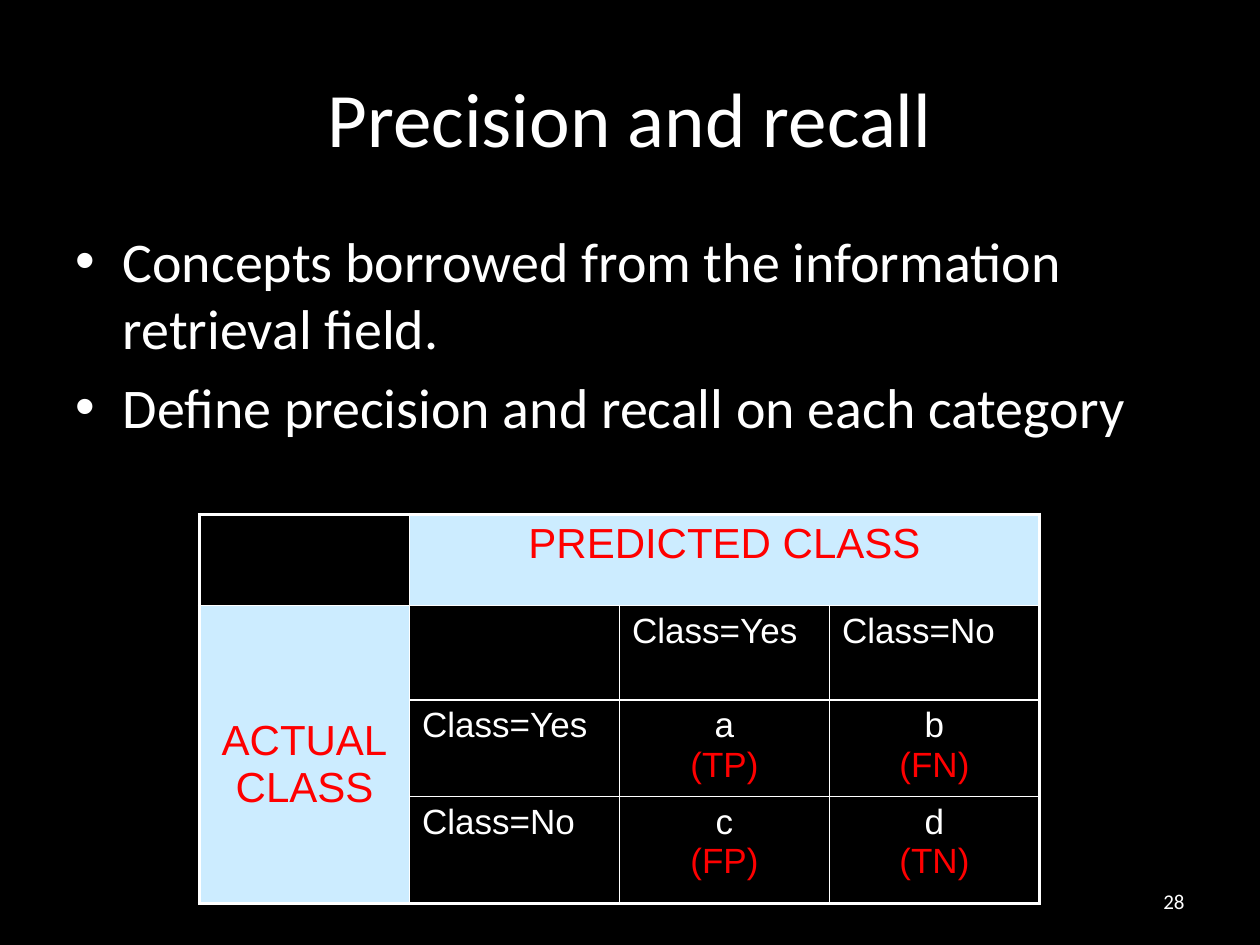
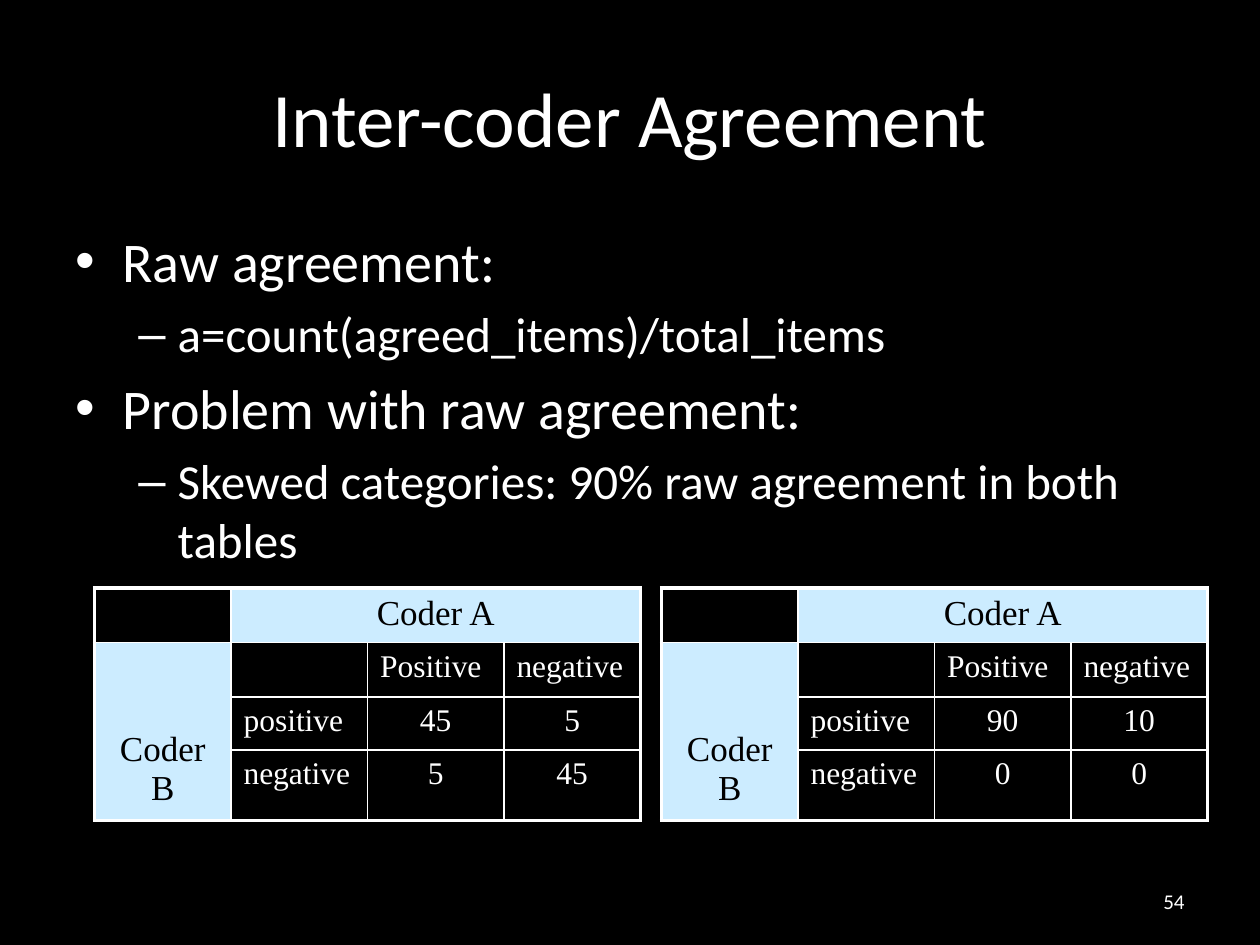
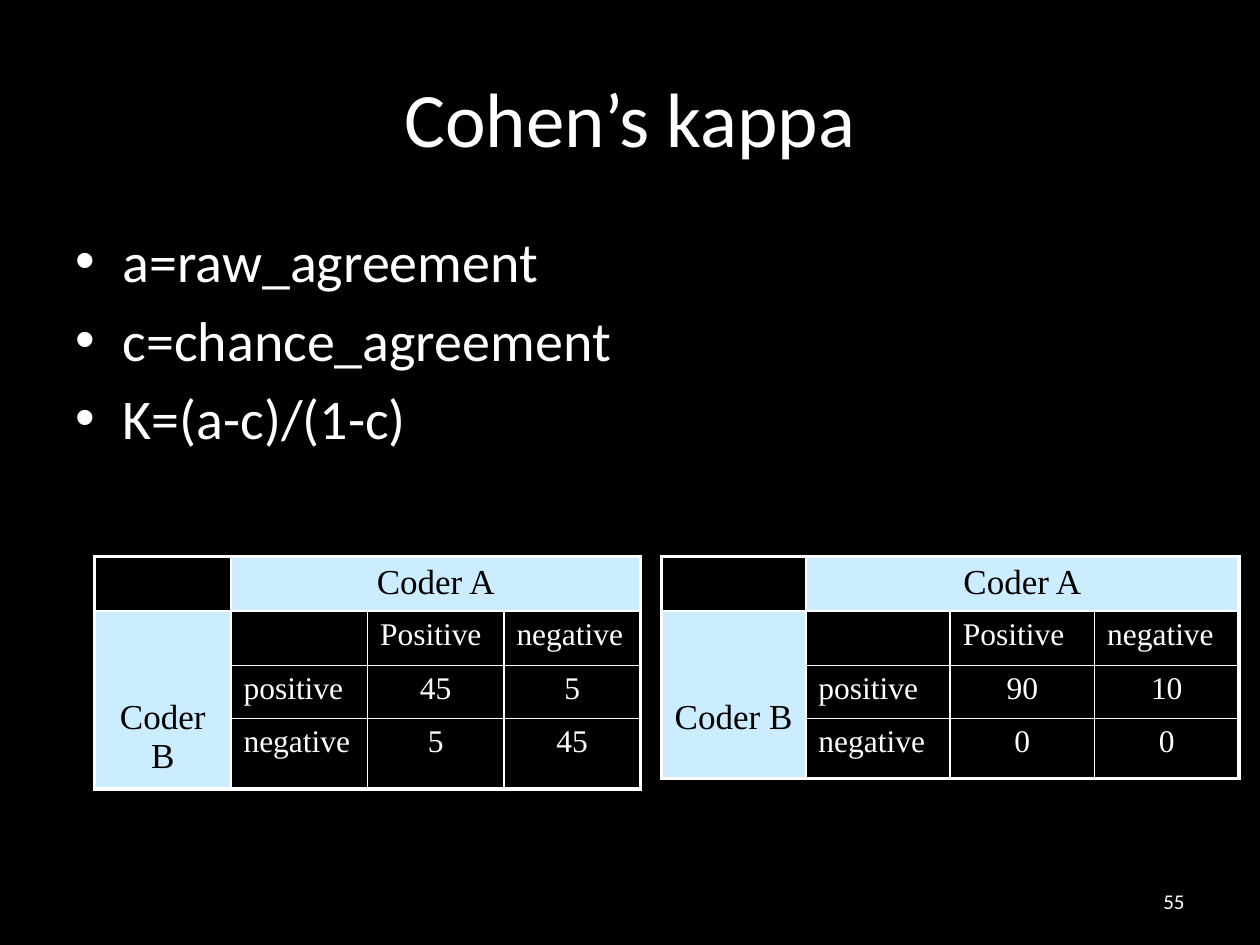
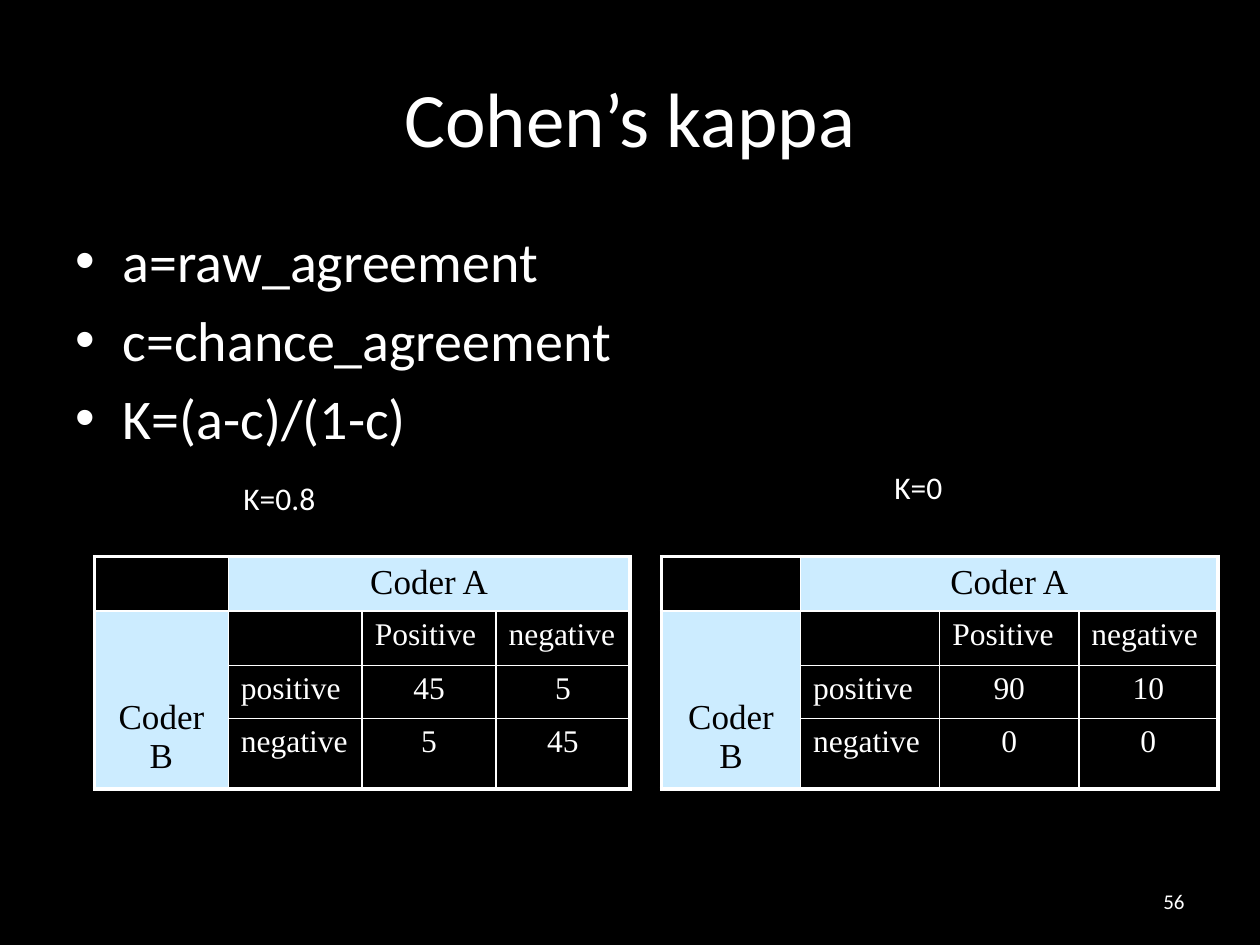
"""Builds four lecture slides on precision, recall and inter-coder agreement."""
from lxml import etree
from pptx import Presentation
from pptx import util as u
from pptx.dml import color
from pptx.enum import text
from pptx.oxml import ns

COLORS = {"back": "000000", "ink": "FFFFFF", "header": "CCECFF", "accent": "FF0000"}
ALIGN = text.PP_ALIGN
BULLETS = [
    {"mark": "•", "left": 27, "hang": -27, "size": 32, "before": 6.4},
    {"mark": "–", "left": 58.5, "hang": -22.5, "size": 28, "before": 5.6},
]
CONFUSION = {"font": "Arial", "header_size": 24, "size": 20, "header_color": "accent",
             "side_top": 64, "rows": [52, 54, 53, 61]}
CODERS = {"font": "Times New Roman", "header_size": 20, "size": 18, "header_color": "back",
          "side_top": 50, "rows": [29.5, 31, 30.25, 34.5]}
OUTER, INNER = 2.25, 1
KAPPA = [(0, "a=raw_agreement"), (0, "c=chance_agreement"), (0, "K=(a-c)/(1-c)")]
SKEWED = [["90", "10"], ["0", "0"]]
BALANCED = [["45", "5"], ["5", "45"]]


def rgb(name):
    return color.RGBColor.from_string(COLORS[name])


class Deck:
    def __init__(self):
        self.prs = Presentation()
        self.prs.slide_width, self.prs.slide_height = u.Pt(720), u.Pt(540)
        self.slide = None

    def start(self, title, points, number, body_height):
        self.slide = self.prs.slides.add_slide(self.prs.slide_layouts[6])
        fill = self.slide.background.fill
        fill.solid()
        fill.fore_color.rgb = rgb("back")
        middle = {"vertical_anchor": text.MSO_ANCHOR.MIDDLE}
        self.label(title, (36, 21.6, 648, 90), 44, ALIGN.CENTER, middle)
        self.bullets(points, body_height)
        self.label(number, (516, 500.5, 168, 28.75), 12, ALIGN.RIGHT, middle)

    def box(self, place, frame_format=None):
        frame = self.slide.shapes.add_textbox(*map(u.Pt, place)).text_frame
        for key, value in {"word_wrap": True, **(frame_format or {})}.items():
            setattr(frame, key, value)
        return frame

    def wording(self, paragraph, words, size, font="Calibri", ink="ink", align=ALIGN.LEFT):
        paragraph.alignment = align
        for index, (line, name) in enumerate(words):
            if index:
                paragraph.add_line_break()
            run = paragraph.add_run()
            run.text = line
            for key, value in {"size": u.Pt(size), "name": font, "bold": False}.items():
                setattr(run.font, key, value)
            run.font.color.rgb = rgb(name or ink)

    def label(self, words, place, size, align=ALIGN.LEFT, frame_format=None):
        frame = self.box(place, frame_format)
        self.wording(frame.paragraphs[0], [(words, None)], size, align=align)

    def bullets(self, points, height):
        frame = self.box((36, 126, 648, height))
        for index, (level, words) in enumerate(points):
            paragraph = frame.add_paragraph() if index else frame.paragraphs[0]
            style = BULLETS[level]
            self.wording(paragraph, [(words, None)], style["size"])
            paragraph.level = level
            paragraph.space_before = u.Pt(style["before"])
            props = paragraph._p.get_or_add_pPr()
            props.set("marL", str(u.Pt(style["left"])))
            props.set("indent", str(u.Pt(style["hang"])))
            etree.SubElement(props, ns.qn("a:buFont")).set("typeface", "Arial")
            etree.SubElement(props, ns.qn("a:buChar")).set("char", style["mark"])

    def border(self, cell, row, col, last):
        bottom, right = row + cell.span_height - 1, col + cell.span_width - 1
        edges = {"L": col == 0, "R": right == last, "T": row == 0, "B": bottom == last}
        props = cell._tc.get_or_add_tcPr()
        for index, (side, is_outer) in enumerate(edges.items()):
            line = etree.Element(ns.qn(f"a:ln{side}"))
            line.set("w", str(u.Pt(OUTER if is_outer else INNER)))
            fill = etree.SubElement(line, ns.qn("a:solidFill"))
            etree.SubElement(fill, ns.qn("a:srgbClr")).set("val", COLORS["ink"])
            props.insert(index, line)

    def matrix(self, style, place, across, down, names, counts):
        heights = style["rows"]
        order = len(heights)
        table = self.slide.shapes.add_table(
            order, order, *map(u.Pt, (*place, sum(heights)))).table
        for key in ("first_row", "horz_banding"):
            setattr(table, key, False)
        for column in table.columns:
            column.width = u.Pt(place[2] / order)
        for row, height in zip(table.rows, heights):
            row.height = u.Pt(height)
        top, side = table.cell(0, 1), table.cell(1, 0)
        top.merge(table.cell(0, order - 1))
        side.merge(table.cell(order - 1, 0))
        side.margin_top = u.Pt(style["side_top"])

        for r in range(order):
            for c in range(order):
                cell = table.cell(r, c)
                cell.fill.background()
                self.border(cell, r, c, order - 1)

        for cell, words in ((top, across), (side, down)):
            cell.fill.solid()
            cell.fill.fore_color.rgb = rgb("header")
            self.wording(cell.text_frame.paragraphs[0], [(line, None) for line in words],
                         style["header_size"], style["font"], style["header_color"],
                         ALIGN.CENTER)

        column_names, row_names = names
        grid = [["", *column_names], *([name, *line] for name, line in zip(row_names, counts))]
        for r, line in enumerate(grid):
            for c, words in enumerate(line):
                if words:
                    parts = words.split("\n")
                    align = ALIGN.CENTER if r and c else ALIGN.LEFT
                    self.wording(table.cell(r + 1, c + 1).text_frame.paragraphs[0],
                                 list(zip(parts, (None, "accent"))),
                                 style["size"], style["font"], align=align)

    def coder_tables(self, top, skewed_width, balanced_width):
        names = ["Positive", "negative"], ["positive", "negative"]
        for left, width, counts in ((378, skewed_width, SKEWED), (54, balanced_width, BALANCED)):
            self.matrix(CODERS, (left, top, width), ["Coder A"], ["Coder B"], names, counts)


def main():
    deck = Deck()
    deck.start("Precision and recall", [
        (0, "Concepts borrowed from the information retrieval field."),
        (0, "Define precision and recall on each category"),
    ], "28", 356.4)
    classes = ["Class=Yes", "Class=No"]
    deck.matrix(CONFUSION, (114, 294, 480), ["PREDICTED CLASS"], ["ACTUAL", "CLASS"],
                (classes, classes), [["a\n(TP)", "b\n(FN)"], ["c\n(FP)", "d\n(TN)"]])

    deck.start("Inter-coder Agreement", [
        (0, "Raw agreement:"),
        (1, "a=count(agreed_items)/total_items"),
        (0, "Problem with raw agreement:"),
        (1, "Skewed categories: 90% raw agreement in both tables"),
    ], "54", 356.4)
    deck.coder_tables(336, 312, 312)

    deck.start("Cohen’s kappa", KAPPA, "55", 156)
    deck.coder_tables(318, 330, 312)

    deck.start("Cohen’s kappa", KAPPA, "56", 156)
    deck.coder_tables(318, 318, 306)
    grow = {"auto_size": text.MSO_AUTO_SIZE.SHAPE_TO_FIT_TEXT}
    deck.label("K=0.8", (132, 270, 102, 36), 18, frame_format=grow)
    deck.label("K=0", (504, 264, 57.6, 36), 18, frame_format={**grow, "word_wrap": False})
    deck.prs.save("out.pptx")


if __name__ == "__main__":
    main()
